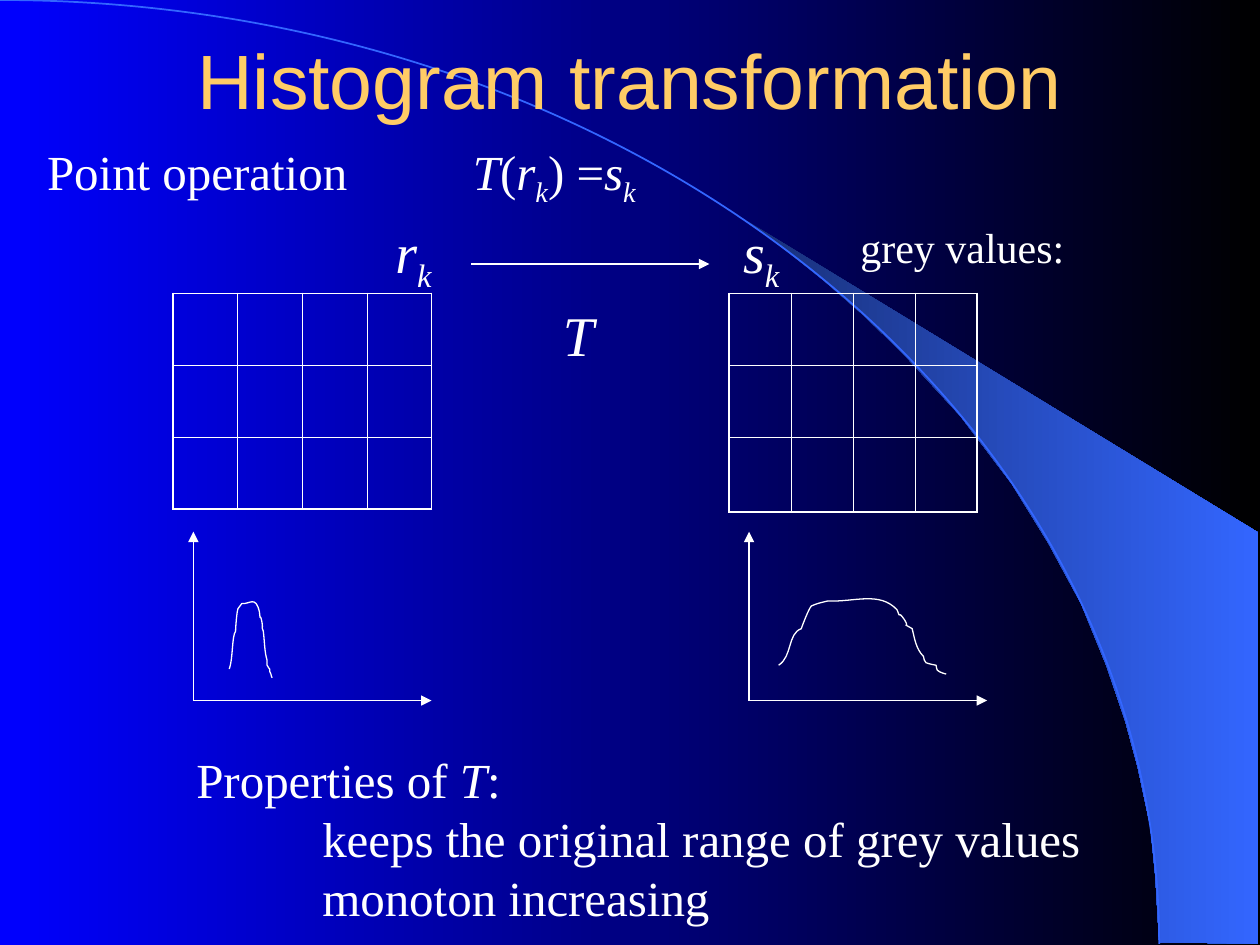
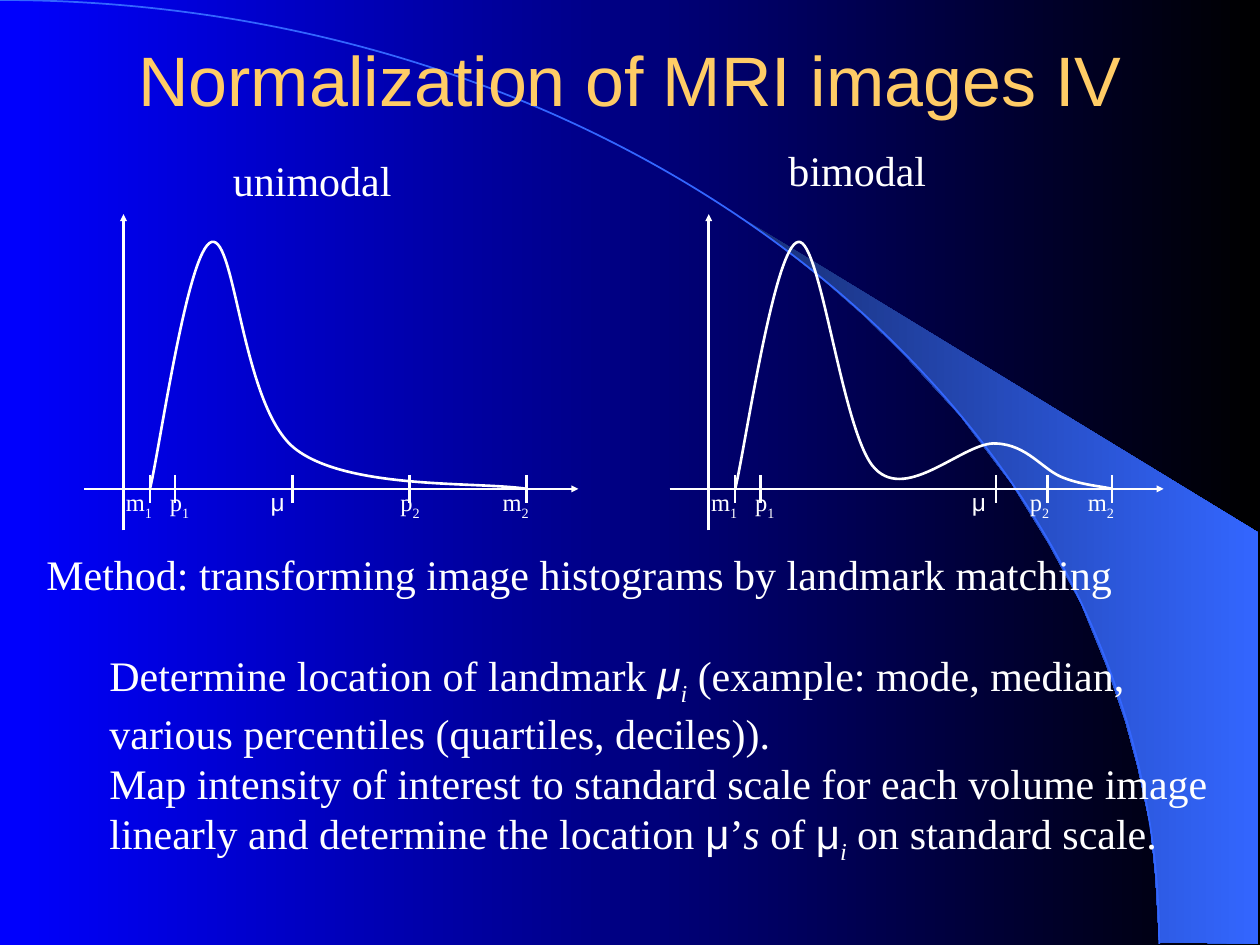
"""Builds two slides about histogram transformation and normalization."""
from lxml import etree
from pptx import Presentation
from pptx.dml.color import RGBColor
from pptx.enum.shapes import MSO_CONNECTOR
from pptx.enum.text import MSO_ANCHOR, PP_ALIGN
from pptx.oxml.ns import qn
from pptx.util import Inches, Pt

STRAIGHT = MSO_CONNECTOR.STRAIGHT
MIDDLE, TOP = MSO_ANCHOR.MIDDLE, MSO_ANCHOR.TOP
LEFT, CENTER = PP_ALIGN.LEFT, PP_ALIGN.CENTER

COLUMNS, ROWS = 100, 75
CELL = Inches(0.1)

WHITE = RGBColor(0xFF, 0xFF, 0xFF)
BLACK = RGBColor(0x00, 0x00, 0x00)
BLUE = RGBColor(0x00, 0x00, 0xFF)
GOLD = RGBColor(0xFF, 0xCC, 0x66)
BAND_DARK = RGBColor(0x18, 0x2F, 0x76)
BAND_LIGHT = RGBColor(0x33, 0x66, 0xFF)
SERIF, SANS = "Times New Roman", "Arial"

BAND = [(92, 74.8), (99.9, 74.9), (99.9, 42.3), (58.9, 17.3), (62.4, 19.9),
        (65.3, 22.2), (68.5, 25), (71.6, 28), (76.2, 33), (80.3, 38.4),
        (83.2, 43.1), (85.8, 47.9), (87.8, 52.8), (89.3, 57.2), (90.3, 60.9),
        (91.3, 65.6), (91.7, 69.6)]
ARC = [(0, 0), (50.8, 0), (92, 33.5), (92, 74.9)]

NARROW_HISTOGRAM = [
    (18.2, 53.1), (18.5, 52.3), (18.4, 50.5), (18.7, 50.1),
    (18.7, 49.8), (18.8, 48.5), (18.9, 48.3), (19, 48.1), (19.1, 48.1), (19.2, 47.9),
    (19.8, 48), (20.3, 47.2), (20.6, 48.6), (20.7, 49.6), (20.6, 48.4), (20.8, 49.4),
    (20.9, 50.2), (20.7, 49.5), (20.9, 50.1), (21, 50.9), (21, 51.8), (21.2, 52.4),
    (21.2, 52.5), (21.2, 52.7), (21.2, 52.8), (21.3, 53), (21.4, 53.1), (21.4, 53.1),
    (21.4, 53.2), (21.4, 53.4), (21.5, 53.5), (21.5, 53.6), (21.6, 53.8), (21.6, 53.8)]
WIDE_HISTOGRAM = [
    (61.8, 52.8), (62.9, 52.1), (62.5, 50.3), (63.6, 49.9),
    (63.7, 49.6), (64.2, 48.3), (64.4, 48.1), (64.8, 47.9), (65.3, 47.8), (65.7, 47.7),
    (67.8, 47.8), (69.8, 46.9), (71.2, 48.4), (71.6, 49.4), (71.1, 48.2), (71.8, 49.2),
    (72.3, 50), (71.4, 49.3), (72.4, 49.9), (72.6, 50.7), (72.7, 51.5), (73.3, 52.1),
    (73.4, 52.3), (73.3, 52.5), (73.5, 52.6), (73.7, 52.7), (74.3, 52.8), (74.3, 52.8),
    (74.4, 53), (74.3, 53.2), (74.4, 53.2), (74.6, 53.4), (75.1, 53.5), (75.1, 53.5)]

UNIMODAL = [(2.1, 38.8), (2.9, 35.5), (5.1, 19.7), (7, 19.2),
            (8.9, 18.7), (9.4, 32.3), (13.6, 35.6),
            (17.8, 38.9), (28.2, 38.2), (32, 38.8)]
BIMODAL = [(2.1, 38.8), (2.9, 35.5), (5.2, 19.5), (7.1, 19.2),
           (8.9, 18.9), (10.6, 34.6), (13.2, 37.2),
           (15.8, 39.9), (20.3, 35), (22.8, 35.2),
           (25.3, 35.3), (26.5, 37.3), (28.1, 37.9),
           (29.6, 38.5), (31.2, 38.6), (32, 38.8)]


def grid(*lengths):
    """Turn grid lengths into slide lengths."""
    return [round(length * CELL) for length in lengths]


def set_gradient(fill, start, end):
    """Give a fill a left-to-right gradient of two colours."""
    fill.gradient()
    fill.gradient_angle = 0
    for stop, color in zip(fill.gradient_stops, (start, end)):
        stop.color.rgb = color


def add_span(para, span, size, color, font):
    """Add one run; flags are i italic, s subscript and g Arial."""
    text, flags = (span, "") if isinstance(span, str) else span
    run = para.add_run()
    run.text = text
    run.font.size = Pt(size)
    run.font.color.rgb = color
    run.font.name = SANS if "g" in flags else font
    run.font.italic = "i" in flags
    if "s" in flags:
        run._r.get_or_add_rPr().set("baseline", "-25000")


def add_text(slide, paragraphs, left, top, width, height, size=24, color=WHITE,
             font=SERIF, align=LEFT, anchor=TOP, tab=None, indents=(), gaps=()):
    """Add a text box; indents and gaps map a paragraph number to a length."""
    box = slide.shapes.add_textbox(*grid(left, top, width, height))
    frame = box.text_frame
    frame.word_wrap = True
    frame.vertical_anchor = anchor
    for number, spans in enumerate(paragraphs):
        para = frame.paragraphs[0] if number == 0 else frame.add_paragraph()
        para.alignment = align
        properties = para._p.get_or_add_pPr()
        if number in indents:
            properties.set("marL", str(grid(indents[number])[0]))
            properties.set("indent", "0")
        if number in gaps:
            para.space_before = Pt(gaps[number])
        if tab:
            stops = etree.SubElement(properties, qn("a:tabLst"))
            etree.SubElement(stops, qn("a:tab"), pos=str(grid(tab)[0]), algn="l")
        for span in spans:
            add_span(para, span, size, color, font)


def add_line(slide, start, end, weight, arrow=None):
    """Draw a straight white line; arrow is the size of a head at its end."""
    line = slide.shapes.add_connector(STRAIGHT, *grid(*start, *end))
    line.line.color.rgb = WHITE
    line.line.width = Pt(weight)
    if arrow:
        etree.SubElement(line.line._get_or_add_ln(), qn("a:tailEnd"),
                         type="triangle", w=arrow, len=arrow)
    etree.SubElement(line._element.spPr, qn("a:effectLst"))


def add_axes(slide, corner, right, top, weight, arrow="med", overhang=(0, 0)):
    """Draw two arrows that cross at a corner, with optional overhang."""
    x, y = corner
    add_line(slide, (x - overhang[0], y), (right, y), weight, arrow)
    add_line(slide, (x, y + overhang[1]), (x, top), weight, arrow)


def add_outline(slide, points, close=False):
    """Add a freeform through the given grid points."""
    places = [grid(*point) for point in points]
    builder = slide.shapes.build_freeform(*places[0])
    builder.add_line_segments(places[1:], close=close)
    shape = builder.convert_to_shape()
    shape.shadow.inherit = False
    return shape


def add_curve(slide, knots, weight, color=WHITE):
    """Draw an open chain of cubic curves given by its knots and handles."""
    curve = add_outline(slide, knots)
    lines = list(curve._element.iter(qn("a:lnTo")))
    for first in range(0, len(lines), 3):
        segment = etree.Element(qn("a:cubicBezTo"))
        lines[first].addprevious(segment)
        for line in lines[first:first + 3]:
            segment.append(line[0])
            line.getparent().remove(line)
    curve.fill.background()
    curve.line.color.rgb = color
    curve.line.width = Pt(weight)


def set_border(cell, index, side, weight):
    """Put a white line on one side of a table cell."""
    line = etree.Element(qn(f"a:ln{side}"), w=str(Pt(weight)))
    fill = etree.SubElement(line, qn("a:solidFill"))
    etree.SubElement(fill, qn("a:srgbClr"), val=str(WHITE))
    cell._tc.get_or_add_tcPr().insert(index, line)


def add_pixel_grid(slide, left, top, width, row_heights, columns=4):
    """Add an empty table with thin inner and thicker outer lines."""
    rows = len(row_heights)
    table = slide.shapes.add_table(
        rows, columns, *grid(left, top, width, sum(row_heights))).table
    table.first_row = table.horz_banding = False
    for column in table.columns:
        column.width = grid(width / columns)[0]
    for r, height in enumerate(row_heights):
        table.rows[r].height = grid(height)[0]
        for c in range(columns):
            cell = table.cell(r, c)
            cell.fill.background()
            edges = {"L": c == 0, "R": c == columns - 1, "T": r == 0, "B": r == rows - 1}
            for index, (side, outer) in enumerate(edges.items()):
                set_border(cell, index, side, 1.08 if outer else 0.45)


def add_page(deck, title, size):
    """Add a slide with the shared background, band, arc and title."""
    page = deck.slides.add_slide(deck.slide_layouts[6])
    set_gradient(page.background.fill, BLUE, BLACK)
    band = add_outline(page, BAND, close=True)
    set_gradient(band.fill, BAND_DARK, BAND_LIGHT)
    band.line.fill.background()
    add_curve(page, ARC, 1, color=BAND_LIGHT)
    add_text(page, [[title]], 7.5, 0, 85, 12.5, size=size, color=GOLD, font=SANS,
             align=CENTER, anchor=MIDDLE)
    return page


def add_landmark_histogram(slide, origin, knots, mean, upper):
    """Draw a histogram; mean and upper hold a tick and its label's place."""
    base = 38.8
    add_axes(slide, (origin, base), origin + 36.1, 17, 1.5, "sm", overhang=(3.1, 3.3))
    add_curve(slide, [(origin + x, y) for x, y in knots], 1.5)
    landmarks = [("m", "1", (2.1, -0.8)), ("p", "1", (4.1, 2.7)), ("μ", "", mean),
                 ("p", "2", upper), ("m", "2", (32, 29.1))]
    for letter, index, (tick, label) in landmarks:
        x = origin + tick
        add_line(slide, (x, base - 1.1), (x, base + 1.1), 1.5)
        spans = [letter, (index, "s")] if index else [(letter, "g")]
        add_text(slide, [spans], origin + label, 38.2, 4.4, 3.7, size=14)


def build_transformation(deck):
    """Build the slide on histogram transformation."""
    page = add_page(deck, "Histogram transformation", 44)
    add_text(page, [["Point operation\t", ("T", "i"), "(", ("r", "i"), ("k", "is"),
                     ") =", ("s", "i"), ("k", "is")]],
             2.75, 10.7, 50.4, 6.3, size=28, tab=33.8)
    add_pixel_grid(page, 13.75, 23.3, 20.5, (5.7, 5.7, 5.7))
    add_pixel_grid(page, 57.85, 23.3, 19.7, (5.7, 5.7, 5.95))
    for letter, left in (("r", 30.4), ("s", 58)):
        add_text(page, [[(letter, "i"), ("k", "is")]], left, 16.75, 5.4, 7.1, size=32)
    add_text(page, [[("T", "i")]], 43.7, 23.35, 5, 6.4, size=32)
    add_line(page, (37.4, 20.95), (56.3, 20.95), 0.75, "med")
    for left, knots in ((15.35, NARROW_HISTOGRAM), (59.45, WIDE_HISTOGRAM)):
        add_axes(page, (left, 55.6), left + 18.9, 42.2, 0.75)
        add_curve(page, knots, 0.75)
    add_text(page, [["Properties of ", ("T", "i"), ":"],
                    ["keeps the original range of grey values"],
                    ["monoton increasing"]],
             14.6, 59, 74, 15, size=28, indents={1: 10, 2: 10})
    add_text(page, [["grey values:"]], 67.3, 17.05, 19, 5)


def build_normalization(deck):
    """Build the slide on landmark matching."""
    page = add_page(deck, "Normalization of MRI images IV", 40)
    add_landmark_histogram(page, 56.25, BIMODAL, (22.8, 19.9), (26.9, 24.5))
    add_landmark_histogram(page, 9.8, UNIMODAL, (13.4, 10.7), (22.7, 21))
    add_text(page, [
        ["Method: transforming image histograms by landmark matching"],
        ["Determine location of landmark ", ("μ", "gi"), ("i", "is"),
         " (example: mode, median,"],
        ["various percentiles (quartiles, deciles))."],
        ["Map intensity of interest to standard scale for each volume image"],
        ["linearly and determine the location ", ("μ", "g"), "’", ("s", "i"), " of ",
         ("μ", "g"), ("i", "is"), " on standard scale."]],
        2.7, 43, 96, 26.1, indents=dict.fromkeys(range(1, 5), 5), gaps={1: 29.3})
    add_text(page, [["unimodal"]], 17.5, 11.75, 15.4, 5)
    add_text(page, [["bimodal"]], 61.6, 11, 13.7, 5)


def main():
    """Build the deck and save it."""
    deck = Presentation()
    deck.slide_width, deck.slide_height = grid(COLUMNS, ROWS)
    build_transformation(deck)
    build_normalization(deck)
    deck.save("out.pptx")


if __name__ == "__main__":
    main()
